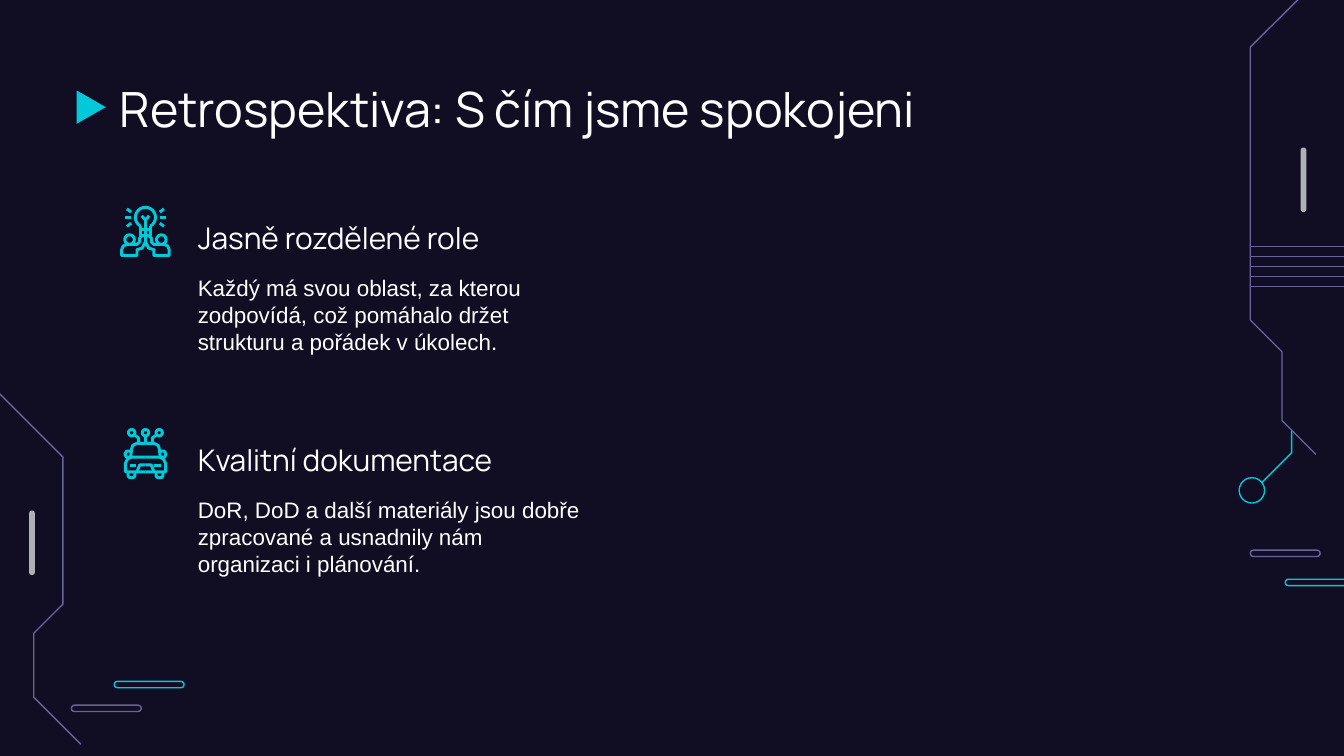
from math import cos, radians, sin

from pptx import Presentation
from pptx.dml.color import RGBColor
from pptx.enum.shapes import MSO_CONNECTOR, MSO_SHAPE
from pptx.enum.text import MSO_ANCHOR as Anchor, MSO_AUTO_SIZE as AutoSize, PP_ALIGN as Align
from pptx.oxml.ns import qn
from pptx.util import Cm, Pt
from lxml.etree import SubElement

BACKGROUND, WHITE, CYAN, PURPLE, GREY = "110E24", "FFFFFF", "00CADA", "69639C", "AFAFB6"


def paint(shape, fill=None, line=None, width=0.75):
    shape.shadow.inherit = False
    if fill:
        shape.fill.solid()
        shape.fill.fore_color.rgb = RGBColor.from_string(fill)
    else:
        shape.fill.background()
    if line:
        shape.line.color.rgb = RGBColor.from_string(line)
        shape.line.width = Pt(width)
    else:
        shape.line.fill.background()


def write(shape, text, size, font="Manrope", color=WHITE, anchor=Anchor.TOP):
    frame = shape.text_frame
    frame.word_wrap = True
    frame.auto_size = AutoSize.NONE
    frame.vertical_anchor = anchor
    frame.margin_left = frame.margin_right = Cm(0.25)
    frame.margin_top = frame.margin_bottom = Cm(0.25)
    paragraph = frame.paragraphs[0]
    paragraph.alignment = Align.LEFT
    run = paragraph.add_run()
    run.text = text
    run.font.size = Pt(size)
    run.font.name = font
    run.font.color.rgb = RGBColor.from_string(color)


presentation = Presentation()
presentation.slide_width, presentation.slide_height = Cm(25.4), Cm(14.29)
slide = presentation.slides.add_slide(presentation.slide_layouts[5])
slide.background.fill.solid()
slide.background.fill.fore_color.rgb = RGBColor.from_string(BACKGROUND)
shapes = slide.shapes

for left, top, color in [(24.29, 10.95, CYAN), (23.63, 10.4, PURPLE),
                         (2.16, 12.88, CYAN), (1.35, 13.33, PURPLE)]:
    capsule = shapes.add_shape(MSO_SHAPE.ROUNDED_RECTANGLE, Cm(left), Cm(top), Cm(1.32), Cm(0.12))
    capsule.adjustments[0] = 0.5
    paint(capsule, line=color)

for left, top in [(24.58, 2.79), (0.55, 9.65)]:
    bar = shapes.add_shape(MSO_SHAPE.ROUNDED_RECTANGLE, Cm(left), Cm(top), Cm(0.11), Cm(1.22))
    bar.adjustments[0] = 0.5
    paint(bar, fill=GREY)

for row in range(5):
    y = Cm(4.66 + 0.19 * row)
    connector = shapes.add_connector(MSO_CONNECTOR.STRAIGHT, Cm(23.63), y, Cm(26.31), y)
    connector.line.color.rgb = RGBColor.from_string(PURPLE)
    connector.line.width = Pt(0.75)
    SubElement(connector.element.spPr, qn("a:effectLst"))

marker = shapes.add_shape(MSO_SHAPE.FLOWCHART_MERGE, Cm(1.41), Cm(1.75), Cm(0.63), Cm(0.55))
marker.rotation = 270
paint(marker, fill=CYAN)

title = shapes.title
title.left, title.top, title.width, title.height = Cm(2.01), Cm(1.24), Cm(21.41), Cm(1.6)
write(title, "Retrospektiva: S čím jsme spokojeni", 26)

topics = [
    ("Jasně rozdělené role",
     "Každý má svou oblast, za kterou zodpovídá, což pomáhalo držet strukturu a pořádek v úkolech."),
    ("Kvalitní dokumentace",
     "DoR, DoD a další materiály jsou dobře zpracované a usnadnily nám organizaci i plánování."),
]
for index, (heading, body) in enumerate(topics):
    top = 3.66 + 4.2 * index
    heading_box = shapes.add_textbox(Cm(3.49), Cm(top), Cm(7.8), Cm(1.42))
    write(heading_box, heading, 16, anchor=Anchor.BOTTOM)
    body_box = shapes.add_textbox(Cm(3.49), Cm(top + 1.27), Cm(7.8), Cm(2.64))
    write(body_box, body, 12, font="Arial")

icon_center = 2.75
team_halves = [
    [(0.06, 4.45), (0.11, 4.5), (0.11, 4.57), (0.16, 4.62), (0.35, 4.62), (0.42, 4.65),
     (0.45, 4.72), (0.45, 4.83), (0.16, 4.83), (0.16, 4.72), (0.06, 4.69), (0, 4.57)],
    [(0, 4.16), (0.07, 4.08)],
    [(0.09, 4.28), (0.09, 4.45), (0, 4.45)],
    [(0.09, 4.34), (0, 4.34)],
]
car_halves = [
    [(0.21, 8.22), (0.13, 8.28), (0.13, 8.38)],
    [(0, 8.38), (0.16, 8.38), (0.24, 8.42), (0.26, 8.48), (0.28, 8.64), (0, 8.64)],
    [(0.27, 8.64), (0.34, 8.68), (0.38, 8.76), (0.38, 8.92), (0, 8.92)],
    [(0.26, 8.53), (0.36, 8.53), (0.39, 8.59), (0.36, 8.64), (0.28, 8.64)],
    [(0.2, 8.92), (0.2, 9), (0.23, 9.03), (0.3, 9.03), (0.33, 9), (0.33, 8.92)],
    [(0, 8.79), (0.11, 8.79), (0.16, 8.92)],
]
icons = [
    (team_halves, [(0, 4.16), (0, 4.66)],
     [(0, 4.11, 0.19, 120, 420), (-0.3, 4.53, 0.09, 0, 360), (0.3, 4.53, 0.09, 0, 360)]),
    (car_halves, [(0, 8.24), (0, 8.38)],
     [(x, 8.18, 0.06, 0, 360) for x in (-0.26, 0, 0.26)]),
]
icon_details = [
    [(0.28, 4.11), (0.38, 4.11)],
    [(0.27, 4.01), (0.35, 3.95)],
    [(0.27, 4.22), (0.35, 4.28)],
    [(0.17, 8.8), (0.29, 8.8)],
]

outlines = [
    (CYAN, 0.75, [[(23.85, 9.12), (24.41, 8.56), (24.41, 8.15)]]),
    (PURPLE, 0.75, [[(24.99, -0.46), (23.63, 0.89), (23.63, 6.05), (24.23, 6.65),
                     (24.23, 7.95), (24.87, 8.59)]]),
    (PURPLE, 0.75, [[(-0.08, 7.37), (1.19, 8.64), (1.19, 11.42), (0.64, 11.97),
                     (0.64, 13.18), (1.53, 14.07)]]),
]
for halves, stem, arcs in icons:
    contours = [stem] + [[(side * x, y) for x, y in half] for half in halves for side in (-1, 1)]
    for x, y, radius, start, end in arcs:
        contours.append([(x + radius * cos(radians(angle)), y + radius * sin(radians(angle)))
                         for angle in range(start, end + 1, 15)])
    outlines.append((CYAN, 1.6, [[(icon_center + x, y) for x, y in contour]
                                 for contour in contours]))
for detail in icon_details:
    for side in (-1, 1):
        outlines.append((CYAN, 1.6, [[(icon_center + side * x, y) for x, y in detail]]))

for color, width, contours in outlines:
    paths = [[(Cm(x), Cm(y)) for x, y in contour] for contour in contours]
    builder = shapes.build_freeform(*paths[0][0], scale=1.0)
    for number, corners in enumerate(paths):
        if number:
            builder.move_to(*corners[0])
        builder.add_line_segments(corners[1:], close=False)
    paint(builder.convert_to_shape(), line=color, width=width)

node = shapes.add_shape(MSO_SHAPE.OVAL, Cm(23.42), Cm(9.03), Cm(0.48), Cm(0.48))
paint(node, line=CYAN)

presentation.save("out.pptx")
